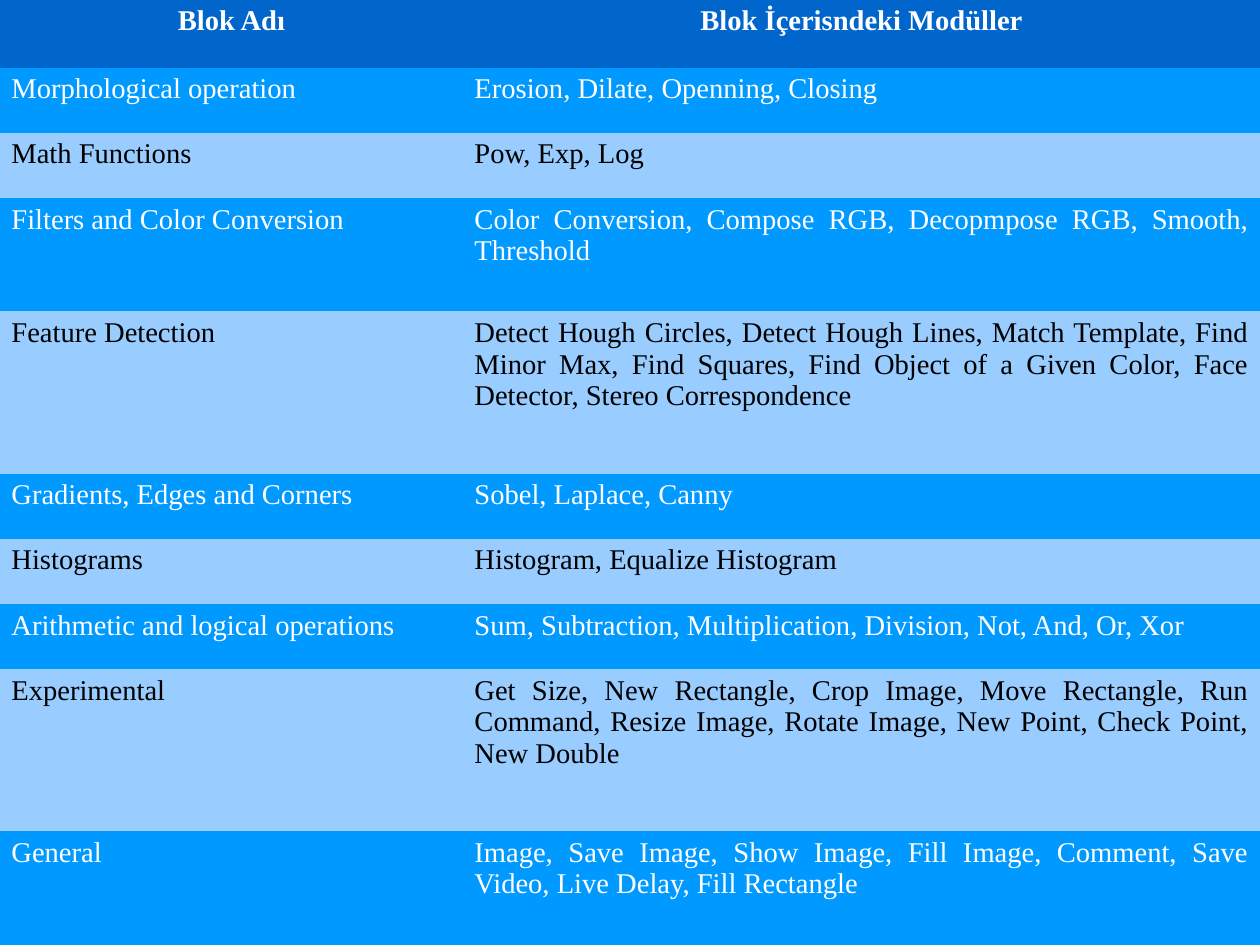
"""Build a slide with a table of block names and the modules in each block."""
from pptx import Presentation, util as u
from pptx.dml.color import RGBColor
from pptx.enum import text

COLOURS = {
    "header": "0066CC",
    "strong": "0099FF",
    "soft": "99CCFF",
    "light": "FFFFFF",
    "dark": "000000",
}
FONT = {"name": "Times New Roman", "size": u.Pt(18)}
INSETS = {
    "margin_left": u.Inches(0.1),
    "margin_right": u.Inches(0.1),
    "margin_top": u.Inches(0.05),
    "margin_bottom": u.Inches(0.05),
    "vertical_anchor": text.MSO_ANCHOR.TOP,
}
PLAIN_TABLE = {"first_row": False, "horz_banding": False}
NO_GRID_STYLE = "{2D5ABB26-0587-4C30-8999-92F81FD0307C}"

TABLE_TOP = -0.1
COLUMN_SHARES = [36.75, 63.25]
HEADER_SHARE, ROW_SHARE, EXTRA_LINE_SHARE = 7.26, 6.89, 5.14

HEADINGS = ("Blok Adı", "Blok İçerisndeki Modüller")
BLOCKS = [
    ("Morphological operation", "Erosion, Dilate, Openning, Closing", 1),
    ("Math Functions", "Pow, Exp, Log", 1),
    ("Filters and Color Conversion",
     "Color Conversion, Compose RGB, Decopmpose RGB, Smooth, Threshold", 2),
    ("Feature Detection",
     "Detect Hough Circles, Detect Hough Lines, Match Template, Find Minor Max, "
     "Find Squares, Find Object of a Given Color, Face Detector, "
     "Stereo Correspondence", 3),
    ("Gradients, Edges and Corners", "Sobel, Laplace, Canny", 1),
    ("Histograms", "Histogram, Equalize Histogram", 1),
    ("Arithmetic and logical operations",
     "Sum, Subtraction, Multiplication, Division, Not, And, Or, Xor", 1),
    ("Experimental",
     "Get Size, New Rectangle, Crop Image, Move Rectangle, Run Command, "
     "Resize Image, Rotate Image, New Point, Check Point, New Double", 3),
    ("General",
     "Image, Save Image, Show Image, Fill Image, Comment, Save Video, "
     "Live Delay, Fill Rectangle", 2),
]


def apply(target, values):
    """Set each named attribute of the target."""
    for key, value in values.items():
        setattr(target, key, value)


class SlideBuilder:
    """Hold the deck, its style and the current slide; lengths are percent shares."""

    def __init__(self, width, height):
        """Start a deck of the given size with one blank slide."""
        self.deck = Presentation()
        apply(self.deck, {"slide_width": width, "slide_height": height})
        self.slide = self.deck.slides.add_slide(self.deck.slide_layouts[6])

    def across(self, share):
        """Turn a share of the slide width into a length."""
        return round(self.deck.slide_width * share / 100)

    def down(self, share):
        """Turn a share of the slide height into a length."""
        return round(self.deck.slide_height * share / 100)

    def table(self, top, column_shares, row_shares):
        """Add a plain table with the given column and row shares."""
        frame = self.slide.shapes.add_table(
            len(row_shares), len(column_shares), 0, self.down(top),
            self.across(sum(column_shares)), self.down(sum(row_shares)))
        grid = frame.table
        apply(grid, PLAIN_TABLE)
        grid._tbl.tblPr[0].text = NO_GRID_STYLE
        for column, share in zip(grid.columns, column_shares):
            column.width = self.across(share)
        for row, share in zip(grid.rows, row_shares):
            row.height = self.down(share)
        return grid

    def row(self, row, wording, aligns, fill, ink, bold=False):
        """Write and colour the cells of one table row."""
        for cell, words, align in zip(row.cells, wording, aligns):
            apply(cell, INSETS)
            cell.fill.solid()
            cell.fill.fore_color.rgb = RGBColor.from_string(COLOURS[fill])
            paragraph = cell.text_frame.paragraphs[0]
            paragraph.alignment = align
            run = paragraph.add_run()
            run.text = words
            apply(run.font, {**FONT, "bold": bold})
            run.font.color.rgb = RGBColor.from_string(COLOURS[ink])


def main():
    """Build and save the slide."""
    builder = SlideBuilder(u.Cm(28), u.Cm(21))
    block_shares = [ROW_SHARE + EXTRA_LINE_SHARE * (lines - 1)
                    for _, _, lines in BLOCKS]
    module_table = builder.table(TABLE_TOP, COLUMN_SHARES,
                                 [HEADER_SHARE] + block_shares)
    align = text.PP_ALIGN
    heading_row, *block_rows = module_table.rows
    builder.row(heading_row, HEADINGS, [align.CENTER] * 2, "header", "light", True)
    for index, (row, (block, modules, _)) in enumerate(zip(block_rows, BLOCKS)):
        fill, ink = ("soft", "dark") if index % 2 else ("strong", "light")
        builder.row(row, (block, modules), (align.LEFT, align.JUSTIFY), fill, ink)
    builder.deck.save("out.pptx")


if __name__ == "__main__":
    main()
